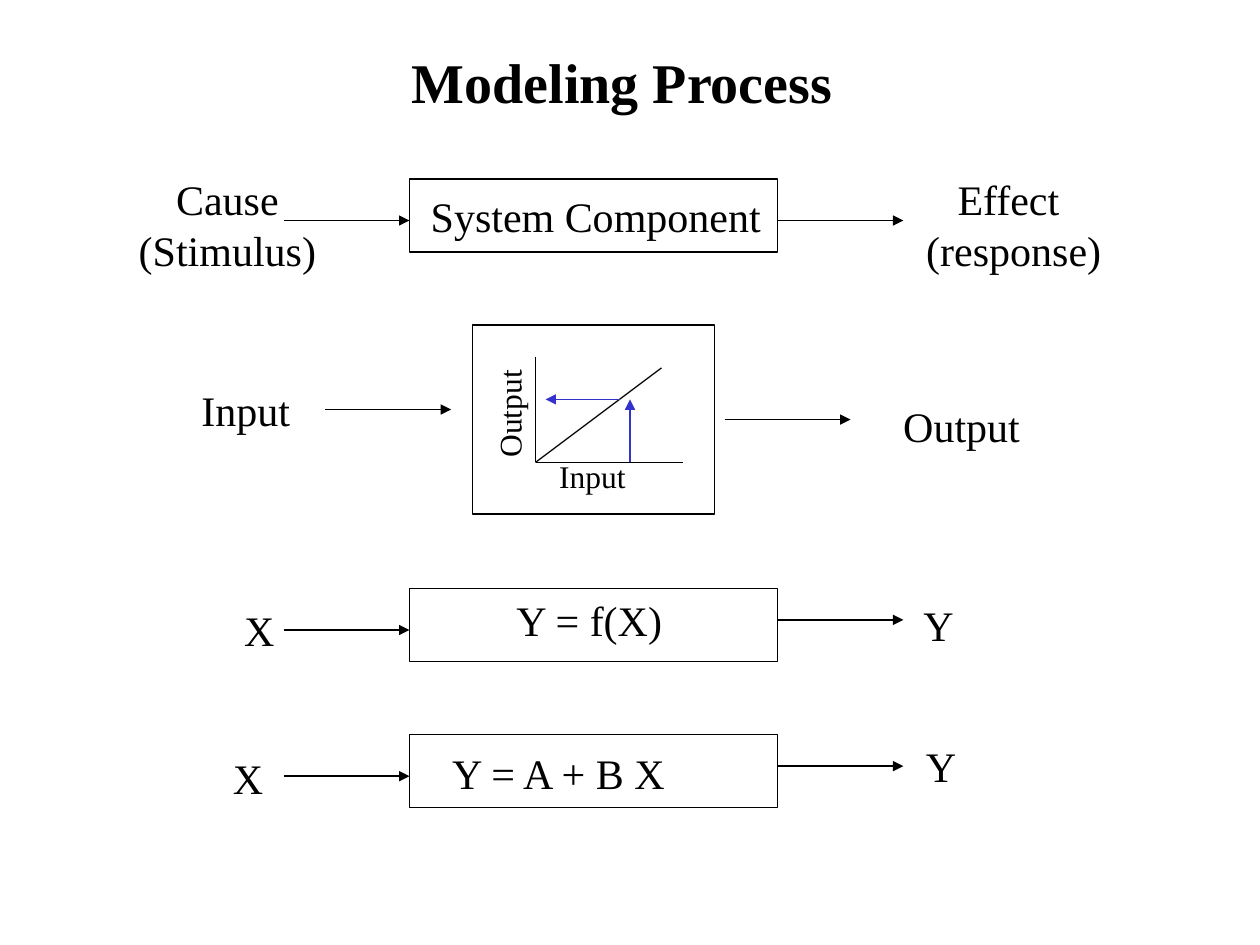
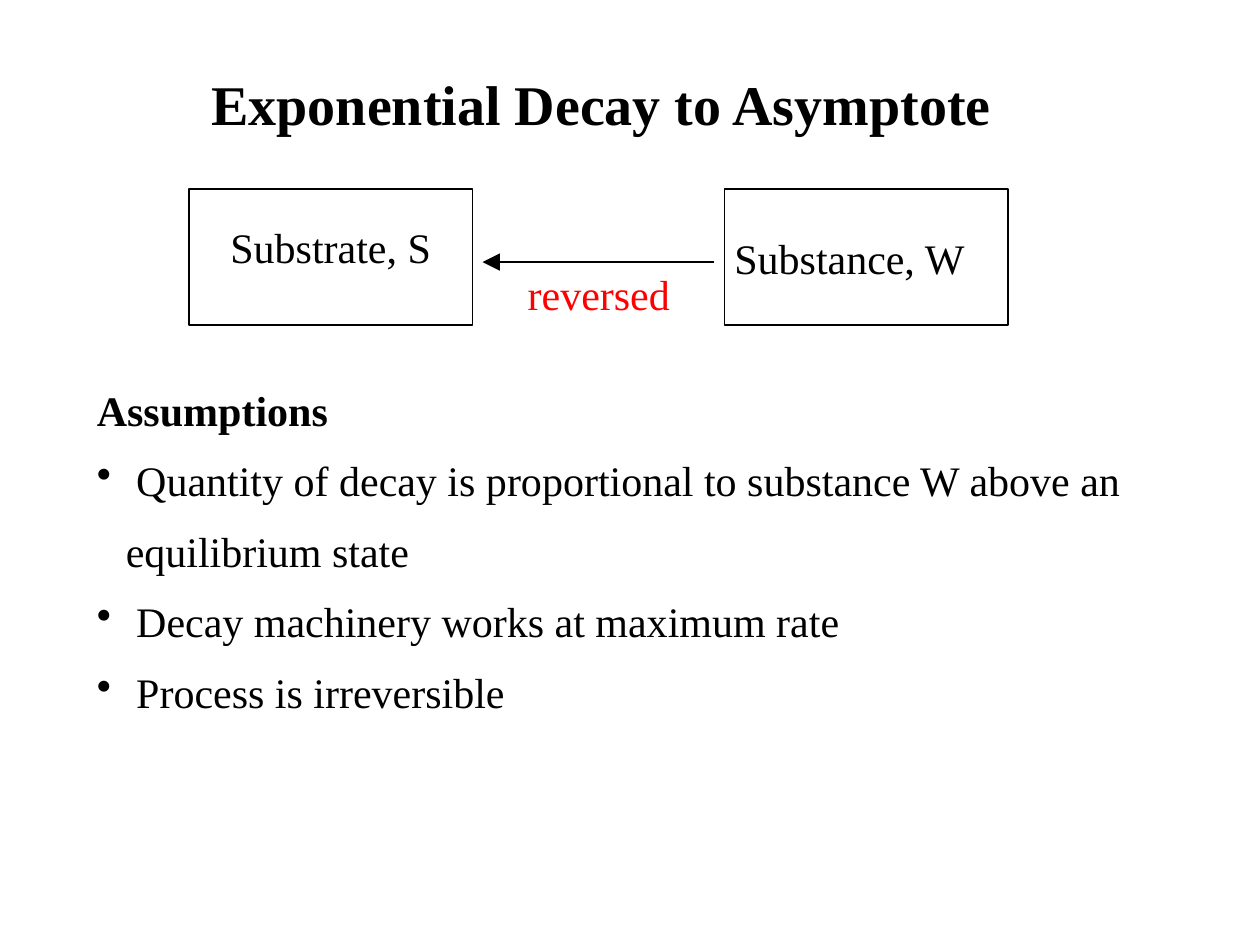
from lxml.etree import SubElement
from pptx import Presentation
from pptx.dml.color import RGBColor
from pptx.enum.shapes import MSO_CONNECTOR, MSO_SHAPE
from pptx.enum.text import MSO_ANCHOR, MSO_AUTO_SIZE, PP_ALIGN
from pptx.oxml.ns import qn
from pptx.util import Inches, Pt

INK = {"black": "000000", "blue": "3333CC", "red": "FF0000"}
FONT = "Times New Roman"
BODY, SMALL, TITLE = 24, 18, 32
THIN = Pt(0.75)


def color(name):
    return RGBColor.from_string(INK[name])


# Shared parts
def style(para, size=BODY, ink="black", bold=False):
    font = para.font
    font.name, font.size, font.bold = FONT, Pt(size), bold
    font.color.rgb = color(ink)


def label(slide, x, y, w, h, lines, size=BODY, ink="black", bold=False,
          align=PP_ALIGN.LEFT, wrap=False):
    box = slide.shapes.add_textbox(Inches(x), Inches(y), Inches(w), Inches(h))
    frame = box.text_frame
    frame.word_wrap = wrap
    frame.auto_size = MSO_AUTO_SIZE.SHAPE_TO_FIT_TEXT
    frame.vertical_anchor = MSO_ANCHOR.TOP
    frame.text = "\n".join(lines)
    for para in frame.paragraphs:
        para.alignment = align
        style(para, size, ink, bold)
    return box


def title(slide, x, y, w, text):
    label(slide, x, y, w, 0.64, [text], TITLE, bold=True)


def frame_box(slide, x, y, w, h):
    box = slide.shapes.add_shape(
        MSO_SHAPE.RECTANGLE, Inches(x), Inches(y), Inches(w), Inches(h))
    box.shadow.inherit = False
    box.fill.background()
    box.line.color.rgb = color("black")
    box.line.width = THIN


def line(slide, x1, y1, x2, y2, ink="black", tip=None):
    link = slide.shapes.add_connector(
        MSO_CONNECTOR.STRAIGHT, Inches(x1), Inches(y1), Inches(x2), Inches(y2))
    link.line.color.rgb = color(ink)
    link.line.width = THIN
    props = link.line._get_or_add_ln()
    if tip:
        SubElement(props, qn("a:tailEnd"), type="triangle", w=tip, len=tip)
    SubElement(props.getparent(), qn("a:effectLst"))


def arrow(slide, x1, y1, x2, y2, ink="black", tip="med"):
    line(slide, x1, y1, x2, y2, ink, tip)


def bullet(para, indent=0.23):
    para.line_spacing = 1.4
    props = para._p.get_or_add_pPr()
    props.set("marL", str(Inches(indent)))
    props.set("indent", str(-Inches(indent)))
    SubElement(props, qn("a:buChar"), char="•")


# Box with one arrow in and one arrow out
def stage(slide, x, y, text, dx, dy, w, drop):
    wide, reach = 2.92, 1
    frame_box(slide, x, y, wide, 0.58)
    label(slide, x + dx, y + dy, w, 0.5, [text])
    arrow(slide, x - reach, y + 0.33, x, y + 0.33)
    arrow(slide, x + wide, y + drop, x + wide + reach, y + drop)


# Small graph reading an output from an input
def graph(slide, x, y):
    frame_box(slide, x, y, 1.92, 1.5)
    left, base, mid = x + 0.5, y + 1.09, y + 0.59
    line(slide, left, y + 0.25, left, base)
    line(slide, left, base, left + 1.17, base)
    line(slide, left, base, left + 1, y + 0.34)
    arrow(slide, left + 0.75, base, left + 0.75, mid, "blue")
    arrow(slide, left + 0.67, mid, left + 0.08, mid, "blue")
    label(slide, x + 0.59, y + 1, 0.73, 0.4, ["Input"], SMALL)
    side = label(slide, x - 0.16, y + 0.5, 0.9, 0.4, ["Output"], SMALL)
    side.rotation = 270
    arrow(slide, x - 1.17, y + 0.67, x - 0.17, y + 0.67)
    arrow(slide, x + 2, y + 0.75, x + 3, y + 0.75)


def model_slide(slide):
    title(slide, 3.17, 0.33, 3.55, "Modeling Process")
    for y, text, dx, dy, w, drop in (
            (1.42, "System Component", 0.07, 0.04, 2.82, 0.33),
            (4.67, "Y = f(X)", 0.75, 0, 1.37, 0.25),
            (5.83, "Y = A + B X", 0.24, 0.05, 1.93, 0.25)):
        stage(slide, 3.25, y, text, dx, dy, w, drop)
    graph(slide, 3.75, 2.58)

    # Causes on the left, effects on the right
    for x, w, lines in ((1, 1.61, ["Cause", "(Stimulus)"]),
                        (7.25, 1.59, ["Effect ", "(response)"])):
        label(slide, x, 1.33, w, 0.9, lines, align=PP_ALIGN.CENTER)
    for x, y, w, text in ((1.5, 3, 0.91, "Input"), (7.07, 3.13, 1.13, "Output"),
                          (1.84, 4.75, 0.44, "X"), (7.23, 4.71, 0.44, "Y"),
                          (1.75, 5.92, 0.44, "X"), (7.25, 5.83, 0.44, "Y")):
        label(slide, x, y, w, 0.5, [text])


# Two boxes and the arrow between them
def decay(slide, x, y):
    wide, step = 2.25, 4.25
    for col, (text, dx, dy, w) in enumerate((
            ("Substrate, S", 0.23, 0.21, 1.79),
            ("Substance, W", -0.02, 0.3, 2.03))):
        left = x + col * step
        frame_box(slide, left, y, wide, 1.08)
        label(slide, left + dx, y + dy, w, 0.5, [text])
    arrow(slide, x + step - 0.08, y + 0.58, x + wide + 0.08, y + 0.58, tip="lg")
    label(slide, x + 2.59, y + 0.58, 1.33, 0.5, ["reversed"], ink="red")


def decay_slide(slide):
    title(slide, 1.58, 0.5, 6.41, "Exponential Decay to Asymptote")
    decay(slide, 1.5, 1.5)

    # Assumptions
    notes = label(slide, 0.67, 3, 8.67, 2.74, [
        "Assumptions",
        " Quantity of decay is proportional to substance W above an "
        "equilibrium state",
        " Decay machinery works at maximum rate",
        " Process is irreversible"], wrap=True)
    head, *items = notes.text_frame.paragraphs
    head.font.bold = True
    for para in items:
        bullet(para)


def main():
    deck = Presentation()
    deck.slide_width, deck.slide_height = Inches(10), Inches(7.5)
    for build in (model_slide, decay_slide):
        build(deck.slides.add_slide(deck.slide_layouts[6]))
    deck.save("out.pptx")


if __name__ == "__main__":
    main()
